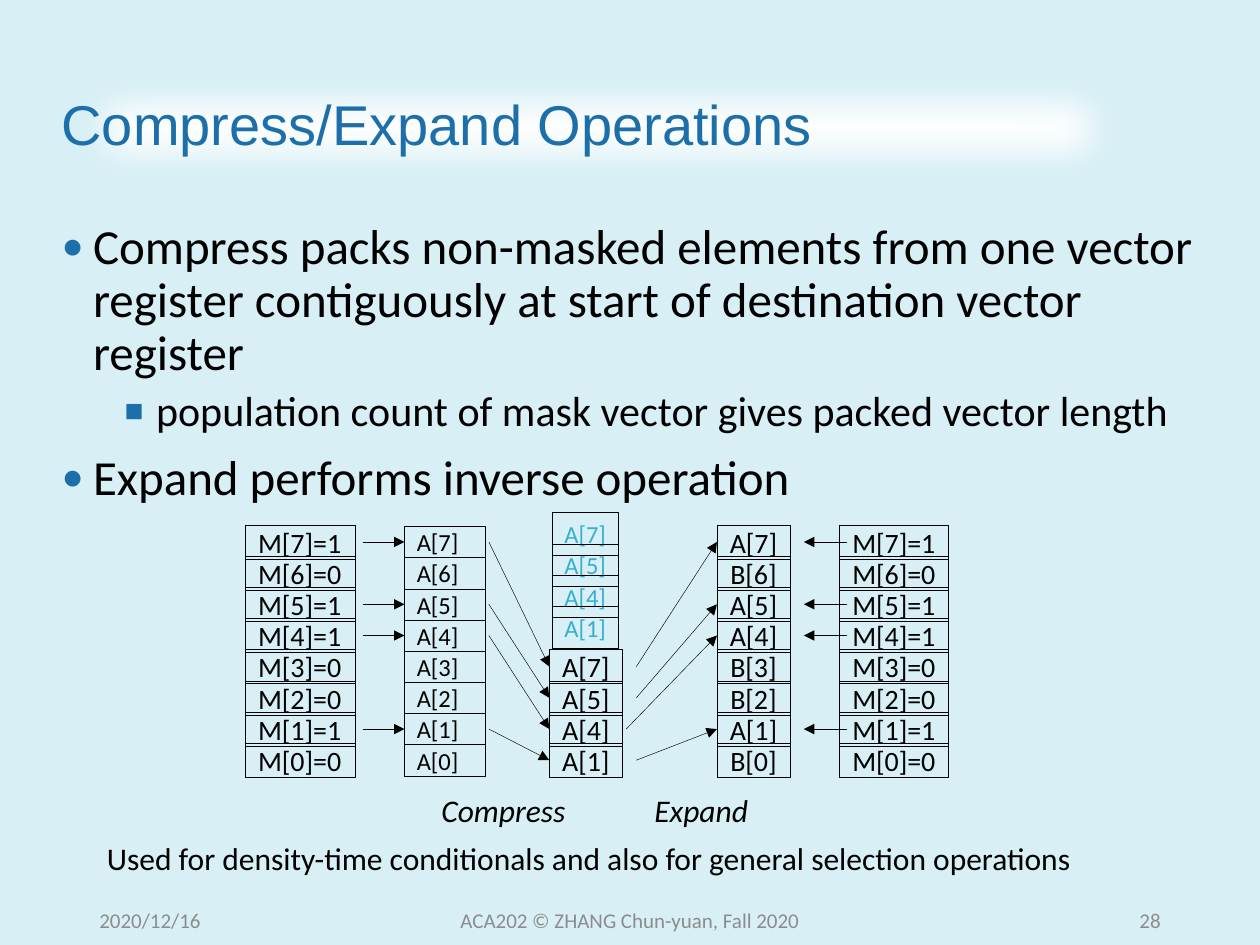
from lxml.etree import SubElement
from pptx import Presentation
from pptx.dml.color import RGBColor
from pptx.enum.shapes import MSO_CONNECTOR, MSO_SHAPE
from pptx.enum.text import MSO_ANCHOR, MSO_AUTO_SIZE, PP_ALIGN
from pptx.oxml.ns import qn
from pptx.util import Inches, Pt

SKY = RGBColor(0xD7, 0xEF, 0xF5)
WHITE = RGBColor(0xFF, 0xFF, 0xFF)
BLACK = RGBColor(0, 0, 0)
BLUE = RGBColor(0x1D, 0x6F, 0xA9)
CYAN = RGBColor(0x36, 0xAF, 0xCE)
GREY = RGBColor(0x8C, 0x8C, 0x8C)

LEFT_SIDE = 1
PITCH = 3.3         # grid rows from one vector element to the next
FIRST_CENTER = 57.35  # grid row at the middle of element 7
MASK = {7: 1, 6: 0, 5: 1, 4: 1, 3: 0, 2: 0, 1: 1, 0: 0}
SELECTED = [index for index, bit in MASK.items() if bit]


def assign(target, formats):
    for name, value in formats.items():
        setattr(target, name, value)


def element_center(index):
    """Grid row at the middle of a vector element, counted down from 7."""
    return FIRST_CENTER + (7 - index) * PITCH


class SlideBuilder:
    """Places elements on a grid of 100 columns by 100 rows."""

    def __init__(self, presentation):
        self.column = presentation.slide_width / 100
        self.row = presentation.slide_height / 100
        self.slide = presentation.slides.add_slide(presentation.slide_layouts[6])
        background = self.slide.background.fill
        background.solid()
        background.fore_color.rgb = SKY

    def scale(self, left, top, width, height):
        return (round(left * self.column), round(top * self.row),
                round(width * self.column), round(height * self.row))

    def add_text(self, paragraph, text, size, color=BLACK, font="Calibri", italic=None):
        run = paragraph.add_run()
        run.text = text
        assign(run.font, {"name": font, "size": Pt(size), "italic": italic})
        run.font.color.rgb = color

    def label(self, area, text, size, align=PP_ALIGN.LEFT, wrap=True, **look):
        box = self.slide.shapes.add_textbox(*self.scale(*area))
        assign(box.text_frame, {"word_wrap": wrap, "vertical_anchor": MSO_ANCHOR.MIDDLE})
        paragraph = box.text_frame.paragraphs[0]
        paragraph.alignment = align
        self.add_text(paragraph, text, size, **look)

    def title(self, area, text):
        """White band with soft edges behind the heading."""
        band = self.slide.shapes.add_shape(MSO_SHAPE.RECTANGLE, *self.scale(*area))
        band.fill.solid()
        band.fill.fore_color.rgb = WHITE
        band.line.fill.background()
        band.shadow.inherit = False
        effects = band._element.spPr.find(qn("a:effectLst"))
        SubElement(effects, qn("a:softEdge"), rad=str(Inches(0.35)))
        band.text_frame.vertical_anchor = MSO_ANCHOR.MIDDLE
        heading = band.text_frame.paragraphs[0]
        assign(heading, {"alignment": PP_ALIGN.LEFT, "line_spacing": 0.9})
        self.add_text(heading, text, 32, BLUE, "Arial")

    def bullets(self, area, items):
        frame = self.slide.shapes.add_textbox(*self.scale(*area)).text_frame
        frame.word_wrap = True
        for position, (level, text) in enumerate(items):
            paragraph = frame.add_paragraph() if position else frame.paragraphs[0]
            properties = paragraph._p.get_or_add_pPr()
            properties.set("marL", str(Inches((0.25, 0.75)[level])))
            properties.set("indent", str(Inches(-0.25)))
            color = SubElement(properties, qn("a:buClr"))
            SubElement(color, qn("a:srgbClr"), val=str(BLUE))
            SubElement(properties, qn("a:buSzPct"), val="75000")
            SubElement(properties, qn("a:buFont"), typeface="Arial")
            SubElement(properties, qn("a:buChar"), char="●■"[level])
            space = Pt((10, 5)[level]) if position else Pt(0)
            assign(paragraph, {"level": level, "line_spacing": 0.9, "space_before": space})
            self.add_text(paragraph, text, (28, 24)[level])

    def cell(self, left, center, width, height, text, size=16,
             align=PP_ALIGN.CENTER, color=BLACK, inset=0):
        area = self.scale(left, center - height / 2, width, height)
        box = self.slide.shapes.add_shape(MSO_SHAPE.RECTANGLE, *area)
        box.fill.background()
        box.line.color.rgb = BLACK
        box.line.width = Pt(0.25)
        box.shadow.inherit = False
        assign(box.text_frame, {
            "word_wrap": False, "auto_size": MSO_AUTO_SIZE.SHAPE_TO_FIT_TEXT,
            "vertical_anchor": MSO_ANCHOR.MIDDLE,
            "margin_top": Inches(inset), "margin_bottom": Inches(inset)})
        paragraph = box.text_frame.paragraphs[0]
        paragraph.alignment = align
        self.add_text(paragraph, text, size, color)
        return box

    def vector(self, left, width, names, height=3.6, **look):
        """Column of cells for {element index: text}; returns them by index."""
        return {index: self.cell(left, element_center(index), width, height, text, **look)
                for index, text in names.items()}

    def arrow(self, start, end, target=None):
        """Arrow between grid points, joined to the target's left side if given."""
        line = self.slide.shapes.add_connector(
            MSO_CONNECTOR.STRAIGHT, *self.scale(*start, *end))
        if target is not None:
            line.end_connect(target, LEFT_SIDE)
        line.line.color.rgb = BLACK
        line.line.width = Pt(0.25)
        SubElement(line.line._get_or_add_ln(), qn("a:tailEnd"), type="triangle")
        SubElement(line._element.spPr, qn("a:effectLst"))


def main():
    presentation = Presentation()
    assign(presentation, {"slide_width": Inches(10), "slide_height": Inches(7.5)})
    page = SlideBuilder(presentation)

    page.title((3.9, 5.3, 86.9, 16.4), "Compress/Expand Operations")
    page.bullets((3.9, 22.9, 92.2, 70.8), [
        (0, "Compress packs non-masked elements from one vector register "
            "contiguously at start of destination vector register"),
        (1, "population count of mask vector gives packed vector length"),
        (0, "Expand performs inverse operation")])

    mask_names = {index: f"M[{index}]={bit}" for index, bit in MASK.items()}
    source_names = {index: f"A[{index}]" for index in MASK}
    expanded_names = {index: f"{'A' if bit else 'B'}[{index}]" for index, bit in MASK.items()}
    packed_names = {3 - slot: f"A[{index}]" for slot, index in enumerate(SELECTED)}

    page.vector(19.5, 8.7, mask_names, align=PP_ALIGN.LEFT)
    source = page.vector(32.1, 6.4, source_names, PITCH, size=14, align=PP_ALIGN.LEFT)
    page.vector(66.6, 8.7, mask_names)
    expanded = page.vector(56.9, 5.8, expanded_names)
    packed = page.vector(43.6, 5.8, packed_names)
    for slot, index in enumerate(SELECTED):
        page.cell(43.8, 56.5 + slot * PITCH, 5.3, 4.5, f"A[{index}]",
                  size=14, color=CYAN, inset=0.05)

    for slot, index in enumerate(SELECTED):
        element, place = element_center(index), element_center(3 - slot)
        page.arrow((28.8, element), (32.1, element), source[index])
        page.arrow((38.8, element), (43.6, place), packed[3 - slot])
        page.arrow((49.7 if index == 4 else 50.5, place), (56.9, element), expanded[index])
        page.arrow((67.2, element), (63.8, element))

    page.label((31.9, 83.2, 16.1, 4.9), "Compress", 18, PP_ALIGN.CENTER, False, italic=True)
    page.label((49.2, 83.2, 12.9, 4.9), "Expand", 18, PP_ALIGN.CENTER, False, italic=True)
    page.label((7.5, 84.7, 84.2, 12.1),
               "Used for density-time conditionals and also for general selection operations", 18)

    for left, width, text, align in (
            (6.9, 22.5, "2020/12/16", PP_ALIGN.LEFT),
            (33.1, 33.8, "ACA202 © ZHANG Chun-yuan, Fall 2020", PP_ALIGN.CENTER),
            (70.6, 22.5, "28", PP_ALIGN.RIGHT)):
        page.label((left, 94.7, width, 5.3), text, 12, align, color=GREY)

    presentation.save("out.pptx")


if __name__ == "__main__":
    main()
